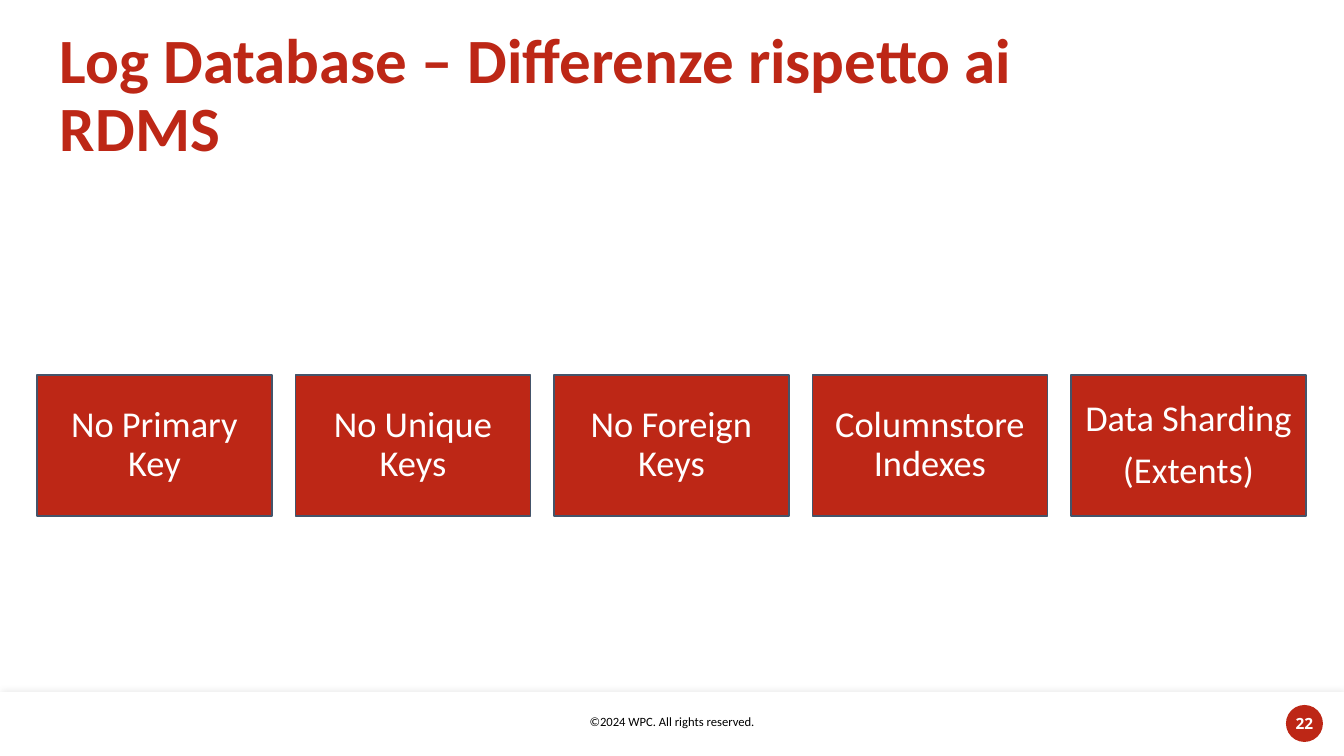
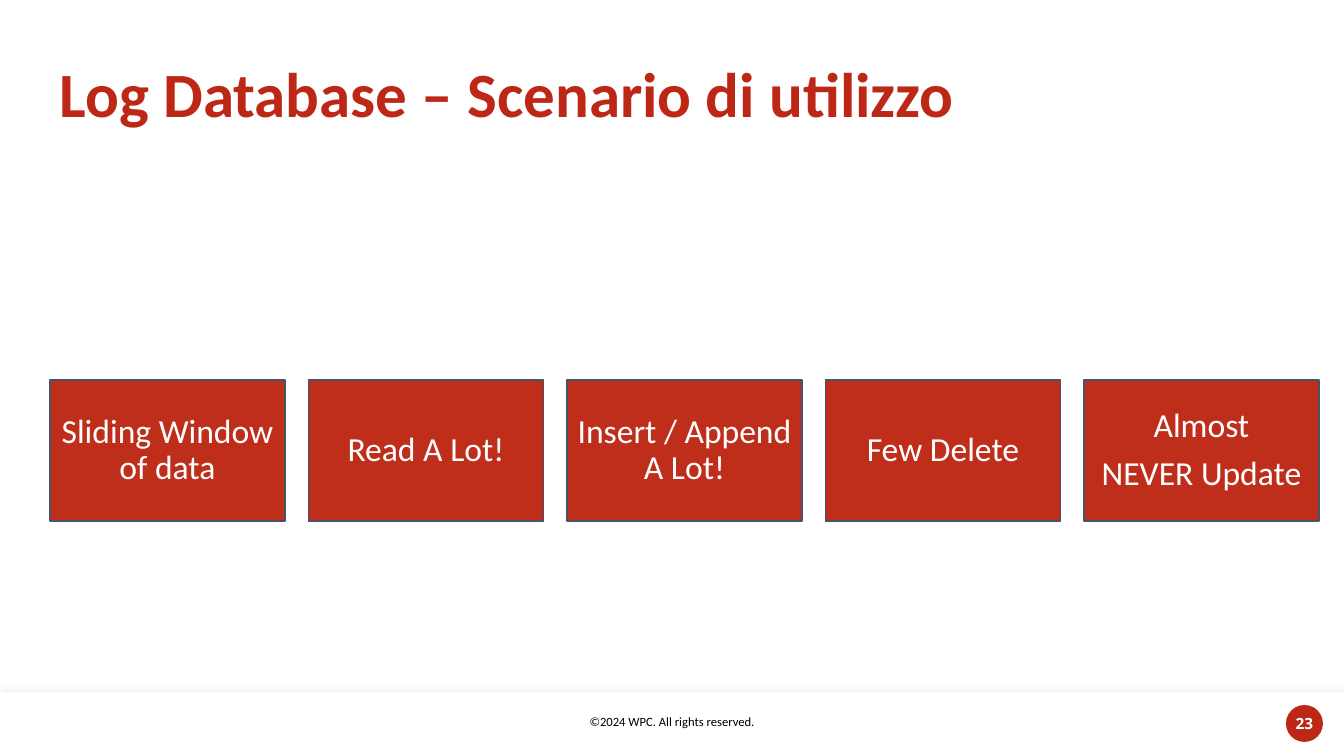
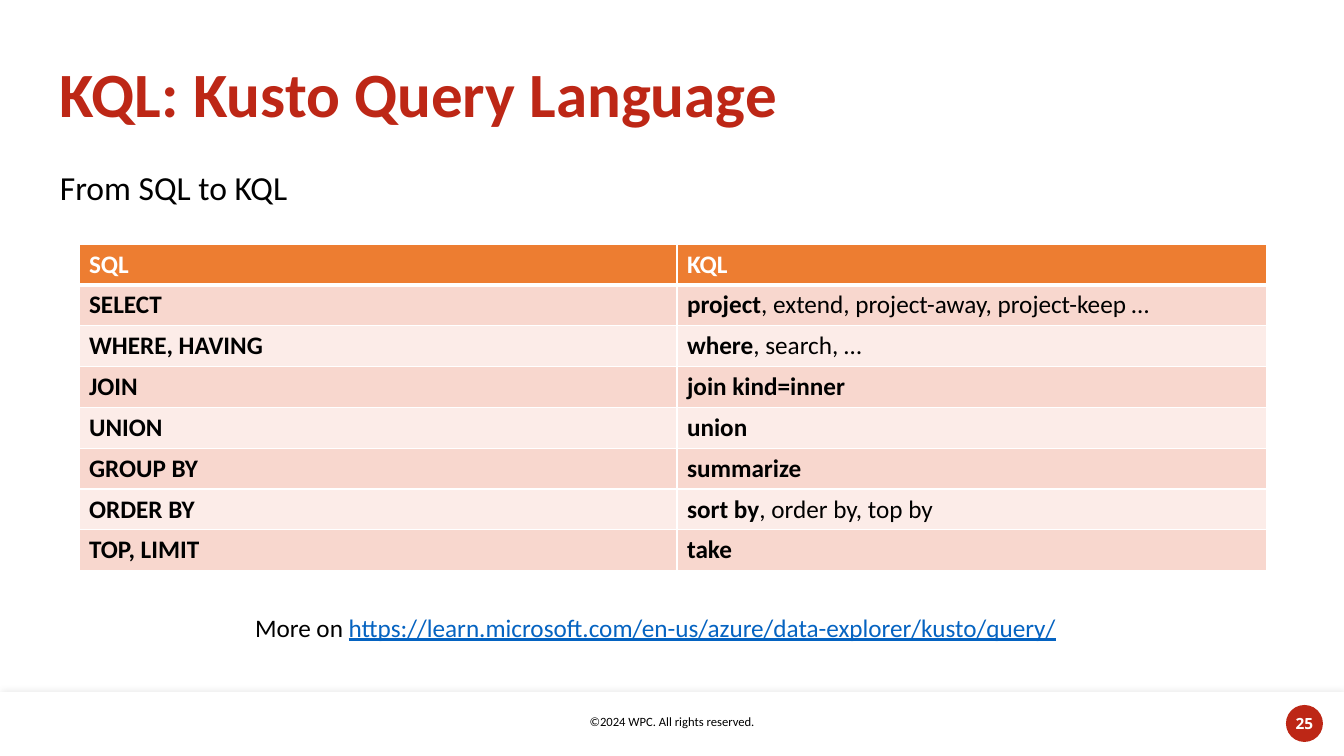
import lxml.etree
import pptx
import pptx.dml.color
import pptx.enum.shapes
import pptx.enum.text
import pptx.oxml
import pptx.oxml.ns
import pptx.util

PAGE_WIDTH, PAGE_HEIGHT = 1344, 756
EMU_PER_PX = 12192000 / PAGE_WIDTH
FONT = "Calibri"
COLOURS = {
    "red": "BD2716", "brick": "BF2E1B", "slate": "44546A", "orange": "ED7D31",
    "band dark": "F8D7CE", "band light": "FCECE8", "link": "0563C1",
    "black": "000000", "white": "FFFFFF",
}
ALIGN = pptx.enum.text.PP_ALIGN
ANCHOR = pptx.enum.text.MSO_ANCHOR
SHAPE = pptx.enum.shapes.MSO_SHAPE

COPYRIGHT = "©2024 WPC. All rights reserved."

# Each tile is a list of its paragraphs.
TILE_SLIDES = [
    {
        "number": 22, "title": "Log Database – Differenze rispetto ai RDMS",
        "left": 37, "top": 375, "fill": "red", "size": 26, "inset": 11,
        "tiles": [["No Primary Key"], ["No Unique Keys"], ["No Foreign Keys"],
                  ["Columnstore Indexes"], ["Data Sharding", "(Extents)"]],
    },
    {
        "number": 23, "title": "Log Database – Scenario di utilizzo",
        "left": 50, "top": 380, "fill": "brick", "size": 24, "inset": 10,
        "tiles": [["Sliding Window of data"], ["Read A Lot!"], ["Insert / Append A Lot!"],
                  ["Few Delete"], ["Almost", "NEVER Update"]],
    },
]
TILE_WIDTH, TILE_HEIGHT = 235, 141
TILE_PITCH = TILE_WIDTH * 1.1

LANGUAGE_NUMBER, LANGUAGE_TITLE = 25, "KQL: Kusto Query Language"
SUBTITLE = "From SQL to KQL"
TABLE_HEADER = ("SQL", "KQL")
# SQL clause, main KQL operator, further operators
TABLE_ROWS = [
    ("SELECT", "project", ", extend, project-away, project-keep …"),
    ("WHERE, HAVING", "where", ", search, …"),
    ("JOIN", "join kind=inner", ""),
    ("UNION", "union", ""),
    ("GROUP BY", "summarize", ""),
    ("ORDER BY", "sort by", ", order by, top by"),
    ("TOP, LIMIT", "take", ""),
]
TABLE_BOX = (79, 244, 1188, 327)
COLUMN_WIDTHS = (598, 590)
MORE_LABEL = "More on "
MORE_ADDRESS = "https://learn.microsoft.com/en-us/azure/data-explorer/kusto/query/"


def px(length):
    return pptx.util.Emu(round(length * EMU_PER_PX))


def rgb(name):
    return pptx.dml.color.RGBColor.from_string(COLOURS[name])


def style(font, size, colour, bold=False, name=FONT):
    font.name, font.size, font.bold = name, pptx.util.Pt(size), bold
    font.color.rgb = rgb(colour)


def add_panel(page, kind, box, fill, line=None):
    panel = page.shapes.add_shape(kind, *map(px, box))
    panel.shadow.inherit = False
    panel.fill.solid()
    panel.fill.fore_color.rgb = rgb(fill)
    if line:
        panel.line.color.rgb = rgb(line)
        panel.line.width = pptx.util.Pt(1)
    else:
        panel.line.fill.background()
    return panel


def write(shape, lines, size, colour, bold=False, name=FONT, align=ALIGN.LEFT,
          anchor=ANCHOR.TOP, spacing=None, insets=None):
    """Fill a shape with one paragraph a line; insets are left, top, right, bottom."""
    frame = shape.text_frame
    frame.word_wrap = True
    frame.vertical_anchor = anchor
    if insets:
        (frame.margin_left, frame.margin_top,
         frame.margin_right, frame.margin_bottom) = map(px, insets)
    frame.text = "\n".join(lines)
    for index, para in enumerate(frame.paragraphs):
        para.alignment = align
        para.line_spacing = spacing
        if index:
            para.space_before = pptx.util.Pt(round(size * 0.35))
        style(para.font, size, colour, bold, name)
    return frame


def add_text(page, box, text, size, colour, **options):
    return write(page.shapes.add_textbox(*map(px, box)), [text], size, colour, **options)


def add_soft_shadow(shape):
    effects = shape._element.spPr.find(pptx.oxml.ns.qn("a:effectLst"))
    effects.append(pptx.oxml.parse_xml(
        f'<a:outerShdw {pptx.oxml.ns.nsdecls("a")} blurRad="50800" dist="12700" '
        f'dir="16200000" rotWithShape="0"><a:srgbClr val="{COLOURS["black"]}">'
        '<a:alpha val="10000"/></a:srgbClr></a:outerShdw>'))


def add_page(deck, number, title):
    """Add a blank slide with the shared footer, page number and title."""
    page = deck.slides.add_slide(deck.slide_layouts[6])
    add_soft_shadow(add_panel(page, SHAPE.RECTANGLE, (0, 692, PAGE_WIDTH, 64), "white"))
    add_text(page, (542, 709, 260, 25), COPYRIGHT, 9, "black", align=ALIGN.CENTER)
    badge = add_panel(page, SHAPE.OVAL, (1286, 705, 37, 37), "red")
    write(badge, [str(number)], 11, "white", bold=True, name="Open Sans",
          align=ALIGN.CENTER, anchor=ANCHOR.MIDDLE, insets=(0, 5, 0, 6))
    add_text(page, (50, 40, 1064, 114), title, 45, "red", bold=True,
             anchor=ANCHOR.MIDDLE, spacing=0.9)
    return page


def add_tiles(page, content):
    for index, lines in enumerate(content["tiles"]):
        box = (content["left"] + index * TILE_PITCH, content["top"], TILE_WIDTH, TILE_HEIGHT)
        tile = add_panel(page, SHAPE.RECTANGLE, box, content["fill"], "slate")
        write(tile, lines, content["size"], "white", align=ALIGN.CENTER,
              anchor=ANCHOR.MIDDLE, spacing=0.9, insets=[content["inset"]] * 4)


def set_borders(cell, widths):
    """Draw white cell borders; widths maps a side (L, R, T, B) to points."""
    properties = cell._tc.get_or_add_tcPr()
    for side, width in widths.items():
        line = lxml.etree.SubElement(properties, pptx.oxml.ns.qn(f"a:ln{side}"),
                                     w=str(pptx.util.Pt(width)))
        fill = lxml.etree.SubElement(line, pptx.oxml.ns.qn("a:solidFill"))
        lxml.etree.SubElement(fill, pptx.oxml.ns.qn("a:srgbClr"), val=COLOURS["white"])


def fill_cell(cell, spans, fill, colour, borders):
    set_borders(cell, borders)
    cell.fill.solid()
    cell.fill.fore_color.rgb = rgb(fill)
    para = cell.text_frame.paragraphs[0]
    style(para.font, 18, colour, bold=True)
    for index, text in enumerate(filter(None, spans)):
        span = para.add_run()
        span.text = text
        style(span.font, 18, colour, bold=index == 0)


def add_language_table(page):
    rows = [TABLE_HEADER] + TABLE_ROWS
    table = page.shapes.add_table(len(rows), len(COLUMN_WIDTHS), *map(px, TABLE_BOX)).table
    table.first_row = table.horz_banding = False
    for column, width in zip(table.columns, COLUMN_WIDTHS):
        column.width = px(width)
    for index, (row, (clause, *operators)) in enumerate(zip(table.rows, rows)):
        row.height = px(TABLE_BOX[3] / len(rows))
        fill = "orange" if index == 0 else "band dark" if index % 2 else "band light"
        borders = {"L": 1, "R": 1, "T": 3 if index == 1 else 1, "B": 1 if index else 3}
        for cell, spans in zip(row.cells, ([clause], operators)):
            fill_cell(cell, spans, fill, "black" if index else "white", borders)


def add_language_page(deck):
    page = add_page(deck, LANGUAGE_NUMBER, LANGUAGE_TITLE)
    add_language_table(page)
    more = add_text(page, (198, 607, 915, 40), MORE_LABEL, 18, "black", align=ALIGN.CENTER)
    address = more.paragraphs[0].add_run()
    address.text = MORE_ADDRESS
    address.font.color.rgb = rgb("link")
    address.font.underline = True
    add_text(page, (50, 167, 1270, 50), SUBTITLE, 24, "black", spacing=0.9)


def main():
    deck = pptx.Presentation()
    deck.slide_width, deck.slide_height = px(PAGE_WIDTH), px(PAGE_HEIGHT)
    for content in TILE_SLIDES:
        add_tiles(add_page(deck, content["number"], content["title"]), content)
    add_language_page(deck)
    deck.save("out.pptx")


if __name__ == "__main__":
    main()
